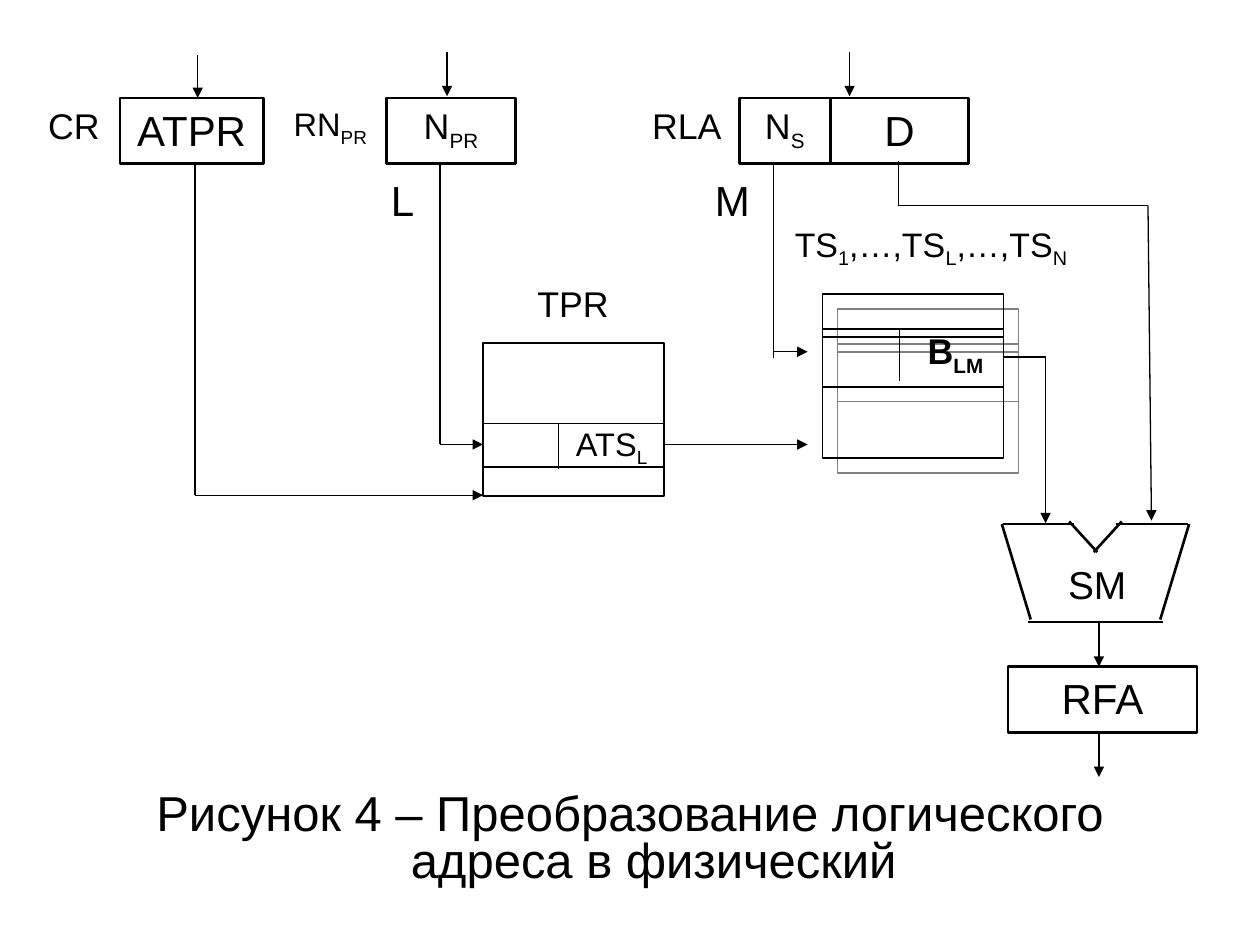
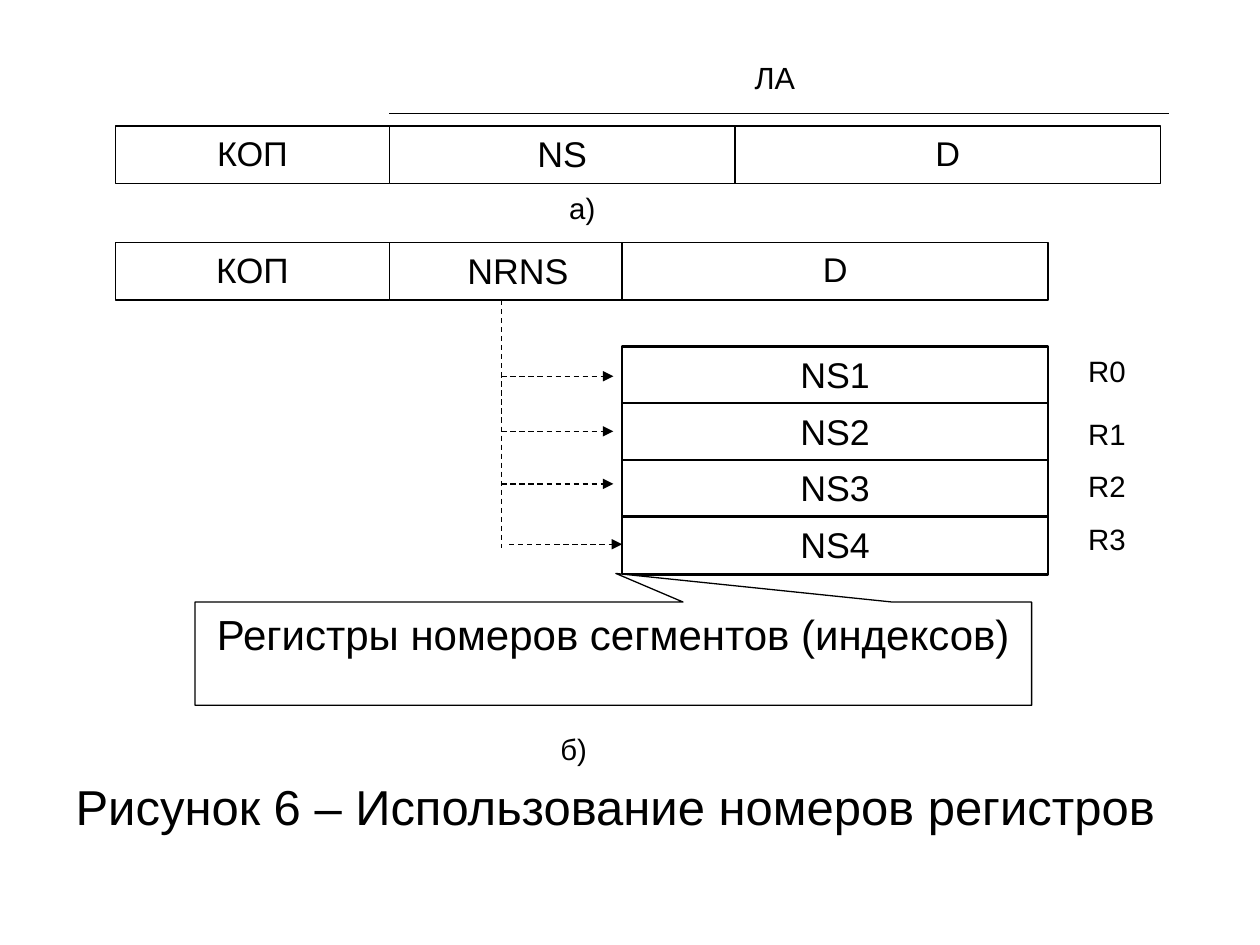
from itertools import pairwise

from lxml.etree import SubElement
from pptx import Presentation
from pptx.dml.color import RGBColor
from pptx.enum.dml import MSO_LINE
from pptx.enum.shapes import MSO_CONNECTOR, MSO_SHAPE
from pptx.enum.text import MSO_ANCHOR, MSO_AUTO_SIZE, PP_ALIGN
from pptx.oxml.ns import qn
from pptx.util import Pt

COLORS = {"ink": "000000", "paper": "FFFFFF", "shadow": "808080"}
FONT = "Arial"
TITLE_ONLY = 5
CELL_HEIGHT = 33
REGISTER_TOP = 56
REGISTER_HEIGHT = 37.5


def color(name):
    return RGBColor.from_string(COLORS[name])


def format_runs(paragraph, size, bold=False):
    for span in paragraph.runs:
        span.font.name = FONT
        span.font.size = Pt(size)
        span.font.bold = bold
        span.font.color.rgb = color("ink")


def write(box, text, size, bold=False):
    """Pieces between bars alternate: normal, subscript, normal, ..."""
    frame = box.text_frame
    frame.word_wrap = True
    frame.vertical_anchor = MSO_ANCHOR.TOP
    paragraph = frame.paragraphs[0]
    paragraph.alignment = PP_ALIGN.CENTER
    pieces = text.split("|")
    paragraph.text = pieces[0]
    for index, piece in enumerate(pieces[1:], 1):
        span = paragraph.add_run()
        span.text = piece
        if index % 2:
            span.font._element.set("baseline", "-25000")
    format_runs(paragraph, size, bold)


def add_label(page, text, left, top, width, height, size, bold=False):
    box = page.shapes.add_textbox(Pt(left), Pt(top), Pt(width), Pt(height))
    write(box, text, size, bold)


def add_block(page, left, top, width, height, weight, text="", size=20.4,
              filled=False, preset=MSO_SHAPE.RECTANGLE):
    box = page.shapes.add_shape(preset, Pt(left), Pt(top), Pt(width), Pt(height))
    box.shadow.inherit = False
    box.line.color.rgb = color("ink")
    box.line.width = Pt(weight)
    if filled:
        box.fill.solid()
        box.fill.fore_color.rgb = color("paper")
    else:
        box.fill.background()
    if text:
        write(box, text, size)
    return box


def add_shadow(box):
    effects = box._element.spPr.find(qn("a:effectLst"))
    shadow = SubElement(effects, qn("a:outerShdw"), dist=str(Pt(12.1)),
                        dir="2700000", algn="ctr", rotWithShape="0")
    SubElement(shadow, qn("a:srgbClr"), val=COLORS["shadow"])


def add_route(page, *points, arrow=True, weight=0.75, dashed=False):
    for start, end in pairwise(points):
        line = page.shapes.add_connector(
            MSO_CONNECTOR.STRAIGHT, *(Pt(value) for value in start + end))
        line.line.color.rgb = color("ink")
        line.line.width = Pt(weight)
        if dashed:
            line.line.dash_style = MSO_LINE.DASH
        if arrow and end == points[-1]:
            SubElement(line.line._get_or_add_ln(), qn("a:tailEnd"), type="triangle")
        SubElement(line._element.spPr, qn("a:effectLst"))


def add_page(deck, caption, top, height, alignment, spacing):
    page = deck.slides.add_slide(deck.slide_layouts[TITLE_ONLY])
    title = page.shapes.title
    title.left, title.top, title.width, title.height = Pt(36), Pt(top), Pt(648), Pt(height)
    frame = title.text_frame
    frame.text = caption
    frame.word_wrap = True
    frame.auto_size = MSO_AUTO_SIZE.NONE
    frame.vertical_anchor = MSO_ANCHOR.TOP
    paragraph = frame.paragraphs[0]
    paragraph.alignment = alignment
    paragraph.line_spacing = spacing
    paragraph.space_before = Pt(7)
    properties = paragraph._p.get_or_add_pPr()
    properties.set("marL", str(Pt(27)))
    properties.set("indent", str(Pt(-27)))
    format_runs(paragraph, 28)
    return page


def add_adder(page):
    axis = 626
    left_half = [
        ((573, 299.5), (614, 299.5)),
        ((572.5, 299.5), (589, 354)),
        ((611, 298), (627, 315.5)),
        ((587.5, 355.5), (627, 355.5)),
    ]
    for edge in left_half:
        mirrored = [(2 * axis - x, y) for x, y in edge]
        for points in (edge, mirrored):
            add_route(page, *points, arrow=False, weight=1.5)
    add_label(page, "SM", 594, 317, 66, 36, 22.2)


def build_address_translation(deck):
    page = add_page(deck, "Рисунок 4 – Преобразование логического адреса в физический",
                    450, 66, PP_ALIGN.CENTER, 0.8)

    for text, left, width, size in [("ATPR", 68.5, 82, 24), ("N|PR", 221, 73.5, 20.4),
                                    ("N|S", 422.5, 52, 20.4), ("D", 474.5, 79, 24)]:
        add_block(page, left, REGISTER_TOP, width, REGISTER_HEIGHT, 1.5, text, size)
    add_block(page, 576, 381, 108, REGISTER_HEIGHT, 1.5, "RFA", 24)

    for top, height in [(196, 46), (242, 25), (267, 16.5)]:
        add_block(page, 276, top, 103.5, height, 1)
    for top, height in [(168, 24.5), (188, 33), (221, 41)]:
        add_shadow(add_block(page, 470, top, 103.5, height, 1))

    for text, left, top, width, size in [
        ("CR", 12, 56, 60.5, 20.4), ("RN|PR", 152, 56, 73.5, 18.6),
        ("RLA", 358, 56, 69, 20.4), ("TPR", 293, 157.5, 69, 20.4),
        ("ATS|L", 310.5, 238.5, 78, 18.6), ("TS|1|,…,TS|L|,…,TS|N", 437, 124, 190, 19.4),
        ("L", 188, 96, 84, 24), ("M", 376.5, 96, 84, 24),
    ]:
        add_label(page, text, left, top, width, CELL_HEIGHT, size)
    add_label(page, "B|LM", 507, 184.5, 78, 37.5, 20.4, bold=True)

    add_adder(page)

    for points in [
        ((319, 242.5), (319, 268)),
        ((514, 188), (514, 217.5)),
        ((442, 93.5), (442, 204.5)),
    ]:
        add_route(page, *points, arrow=False)
    for points in [
        ((113, 31.5), (113, 56)),
        ((255.5, 30), (255.5, 55)),
        ((485.5, 30), (485.5, 55)),
        ((111.5, 93.5), (111.5, 283), (276, 283)),
        ((251.5, 93.5), (251.5, 254), (276, 254)),
        ((379.5, 254), (461.5, 254)),
        ((442, 201), (461.5, 201)),
        ((513.5, 92), (513.5, 117.5), (656, 117.5), (658, 297.5)),
        ((573, 204), (597.5, 204), (597.5, 299)),
        ((628, 355.5), (628, 381)),
        ((628, 419), (628, 444)),
    ]:
        add_route(page, *points)


def build_register_numbers(deck):
    page = add_page(deck, "Рисунок 6 – Использование номеров регистров",
                    444, 38, PP_ALIGN.LEFT, 0.9)

    instructions = [
        (72, [("КОП", 66, 156.5, 19.6), ("NS", 222.5, 197.5, 20.4), ("D", 420, 243, 19.6)]),
        (138.5, [("КОП", 66, 156.5, 20.1), ("NRNS", 222.5, 147, 20.4), ("D", 355.5, 243.5, 19.6)]),
    ]
    for top, fields in instructions:
        for text, left, width, size in fields:
            add_block(page, left, top, width, CELL_HEIGHT, 0.75, text, size, filled=True)

    add_route(page, (222.5, 65), (668, 65), arrow=False)
    for text, left, top, size in [("ЛА", 332.5, 30, 17.5), ("а)", 222.5, 105, 16.8),
                                  ("б)", 217.5, 414, 16.8)]:
        add_label(page, text, left, top, 220.5, 29.5, size)

    trunk = 286.5
    add_route(page, (trunk, 171.5), (trunk, 313), arrow=False, dashed=True)
    for index, label_top in enumerate([198, 234, 264, 294]):
        add_block(page, 355.5, 198 + 32.4 * index, 243.5, CELL_HEIGHT, 1.5,
                  f"NS{index + 1}", filled=True)
        add_label(page, f"R{index}", 600, label_top, 65, 29.5, 16.8)
    for start, end, y in [(trunk, 350.5, 215), (trunk, 350.5, 246.5),
                          (trunk, 350.5, 276.5), (291, 355.5, 311)]:
        add_route(page, (start, y), (end, y), dashed=True)

    callout = add_block(page, 111.5, 344, 478, 59, 0.75,
                        "Регистры номеров сегментов (индексов)", 24, filled=True,
                        preset=MSO_SHAPE.RECTANGULAR_CALLOUT)
    callout.adjustments[0] = 0.003
    callout.adjustments[1] = -0.777


def main():
    deck = Presentation()
    deck.slide_width, deck.slide_height = Pt(720), Pt(540)
    build_address_translation(deck)
    build_register_numbers(deck)
    deck.save("out.pptx")


if __name__ == "__main__":
    main()
